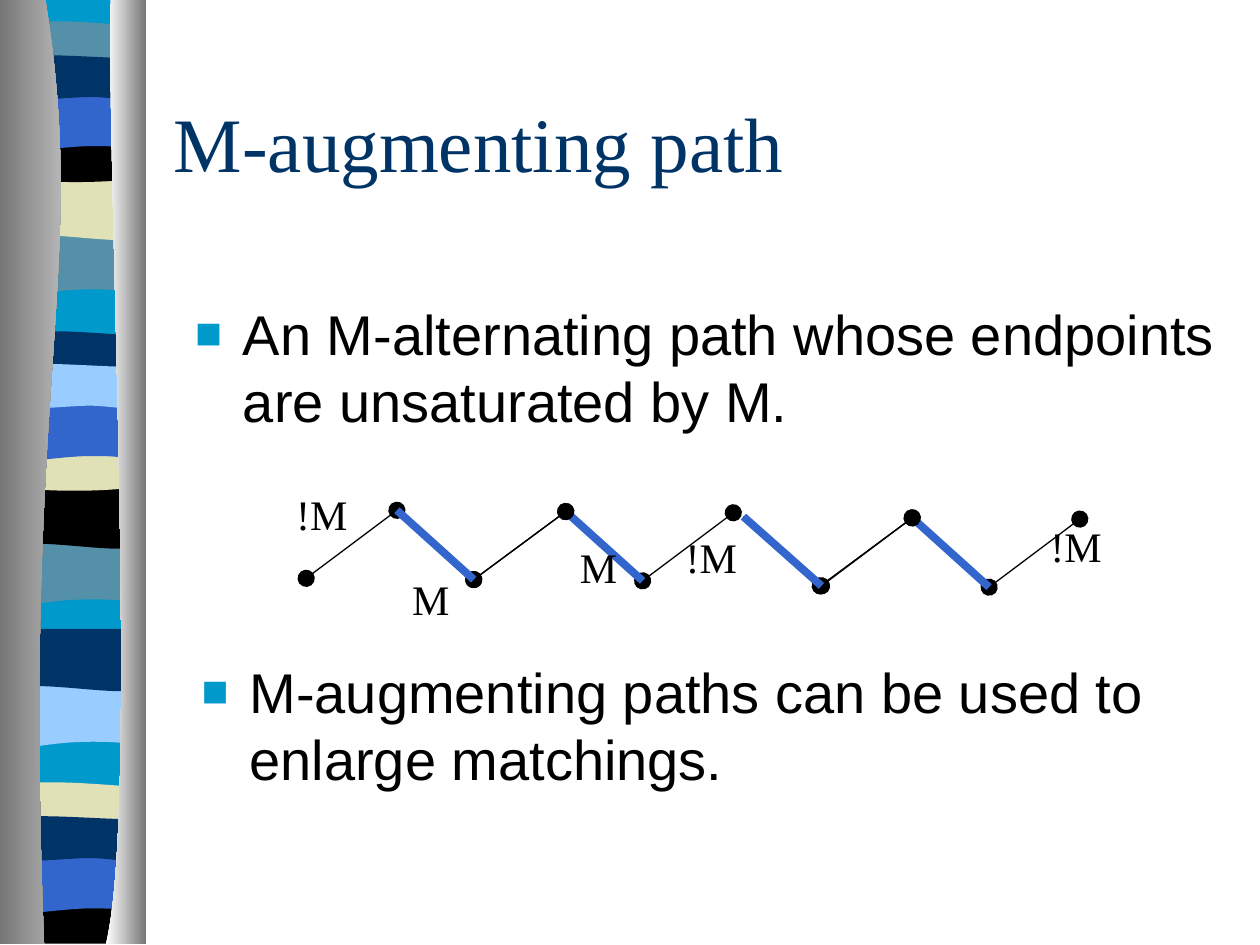
"""Build the slide on M-augmenting paths with its striped ribbon."""
from lxml.etree import SubElement as Sub
from pptx import Presentation as Deck
from pptx.dml.color import RGBColor as Rgb
from pptx.enum.shapes import MSO_CONNECTOR as Conn
from pptx.enum.text import MSO_ANCHOR as Anchor, MSO_AUTO_SIZE as Fit, PP_ALIGN as Align
from pptx.oxml.ns import qn
from pptx.util import Pt

PX = 9144
HUES = {"cyan": "0099CC", "teal": "5490A8", "sand": "E1E1B7", "black": "000000",
        "blue": "3366CC", "navy": "003366", "sky": "99CCFF",
        "gray": "767676", "pale": "D3D3D3", "white": "FFFFFF"}
TINT = {name: Rgb.from_string(code) for name, code in HUES.items()}


def write(frame, text, size=32, face="Arial", hue="black", align=Align.LEFT,
          anchor=Anchor.TOP, wrap=True, bullet=False):
    frame.word_wrap, frame.auto_size = wrap, Fit.NONE
    frame.vertical_anchor = anchor
    frame.margin_left = frame.margin_right = 10 * PX
    frame.margin_top = frame.margin_bottom = 5 * PX
    para = frame.paragraphs[0]
    para.alignment = align
    para.space_before = Pt(0)
    if bullet:
        prop = para._p.get_or_add_pPr()
        prop.set("marL", str(38 * PX))
        prop.set("indent", str(-38 * PX))
        Sub(Sub(prop, qn("a:buClr")), qn("a:srgbClr"), val=HUES["cyan"])
        Sub(prop, qn("a:buSzPct"), val="80000")
        Sub(prop, qn("a:buFont"), typeface="Arial")
        Sub(prop, qn("a:buChar"), char="■")
    run = para.add_run()
    run.text = text
    run.font.size, run.font.name = Pt(size), face
    run.font.color.rgb = TINT[hue]


def outline(steps, left=0, top=0):
    dots = [((step[i] + left) * PX, (step[i + 1] + top) * PX)
            for step in steps for i in range(0, len(step), 2)]
    pen = ribbon.shapes.build_freeform(*dots[0], scale=1.0)
    pen.add_line_segments(dots[1:], close=True)
    shape = pen.convert_to_shape()
    lines = iter(list(shape._element.iter(qn("a:lnTo"))))
    for step in steps[1:]:
        line = next(lines)
        if len(step) == 6:
            line.addprevious(curve := line.makeelement(qn("a:cubicBezTo")))
            for part in (line, next(lines), next(lines)):
                curve.append(part[0])
                part.getparent().remove(part)
    shape.shadow.inherit = False
    shape.line.fill.background()
    return shape


deck = Deck()
deck.slide_width, deck.slide_height = 1000 * PX, 750 * PX
slide = deck.slides.add_slide(deck.slide_layouts[1])
ribbon = slide.shapes.add_group_shape()

BANDS = {
    "base": [(108, 0), (108, 747), (0, 747), (0, 0)],
    "wave": [(108, 0), (108, 47), (33, 39, 18, 55, 0, 47), (0, 0)],
    "swell": [(108, 0), (108, 47), (90, 55, 33, 41, 0, 47), (0, 0)],
    "thin": [(108, 5), (108, 29), (90, 33, 18, 33, 0, 29), (0, 5),
             (6, 0, 23, 1, 41, 1), (59, 1, 94, 4, 108, 5)],
    "dip": [(108, 0), (108, 32), (90, 38, 18, 38, 0, 32), (0, 0),
            (66, 5, 85, 0, 108, 0)],
    "arch": [(108, 0), (108, 47), (91, 42, 84, 42, 66, 42),
             (48, 42, 16, 47, 0, 47), (0, 0)],
    "roll": [(108, 5), (108, 36), (101, 41, 84, 36, 66, 36),
             (48, 36, 11, 41, 0, 36), (0, 5), (15, 0, 73, 5, 91, 5),
             (109, 5, 104, 5, 108, 5)],
    "floor": [(108, 0), (108, 37), (0, 37), (0, 0), (66, 5, 85, 0, 108, 0)],
}
STRIPES = [
    ("base", "cyan", 6, 0), ("wave", "teal", 6, 185), ("swell", "sand", 6, 141),
    ("thin", "teal", 6, 16), ("dip", "black", 6, 108), ("arch", "blue", 6, 74),
    ("roll", "navy", 6, 41), ("wave", "teal", 5, 431), ("swell", "black", 5, 386),
    ("thin", "navy", 5, 262), ("dip", "sand", 5, 353), ("arch", "blue", 5, 320),
    ("roll", "sky", 5, 286), ("wave", "sky", 6, 544), ("swell", "navy", 6, 499),
    ("thin", "sand", 5, 620), ("floor", "black", 5, 712), ("arch", "blue", 5, 679),
    ("roll", "navy", 5, 645),
]
for band, hue, left, top in STRIPES:
    stripe = outline(BANDS[band], left, top)
    stripe.fill.solid()
    stripe.fill.fore_color.rgb = TINT[hue]

EDGES = [
    ([(36, 0), (71, 216, 17, 296, 35, 749), (0, 749), (0, 0)], ("gray", "pale")),
    ([(88, 0), (84, 125, 111, 646, 84, 749), (116, 749), (116, 0)], ("white", "gray")),
]
for steps, hues in EDGES:
    fill = outline(steps).fill
    fill.gradient()
    fill.gradient_angle = 0
    for stop, hue in zip(fill.gradient_stops, hues):
        stop.color.rgb = TINT[hue]

for count, prop in enumerate(ribbon._element.iter(qn("p:cNvPr")), 100):
    prop.set("id", str(count))
deck.slide_master.shapes._spTree.insert(2, ribbon._element)

title, body = slide.placeholders
note = slide.shapes.add_textbox(0, 0, PX, PX)
for shape, left, top, wide, high in [(title, 128, 50, 850, 125),
                                     (body, 150, 517, 850, 192),
                                     (note, 145, 233, 850, 192)]:
    shape.left, shape.top = left * PX, top * PX
    shape.width, shape.height = wide * PX, high * PX
write(title.text_frame, "M-augmenting path", size=44, face="Times New Roman",
      hue="navy", anchor=Anchor.MIDDLE)
write(note.text_frame, "An M-alternating path whose endpoints are unsaturated by M.",
      bullet=True)
write(body.text_frame, "M-augmenting paths can be used to enlarge matchings.",
      bullet=True)

CHAINS = [
    [(376, 460), (449, 406), (510, 461), (582, 407)],
    [(243, 459), (315, 405), (376, 460), (449, 406)],
    [(651, 465), (724, 411), (785, 466), (857, 412)],
    [(590, 410), (652, 465), (724, 411)],
]
for chain in CHAINS:
    pairs = list(zip(chain, chain[1:]))
    falls = [(a, b) for a, b in pairs if b[1] > a[1]]
    for i, (start, stop) in enumerate(pairs + falls):
        match = i >= len(pairs)
        edge = slide.shapes.add_connector(Conn.STRAIGHT, *[n * PX for n in start + stop])
        edge.line.color.rgb = TINT["blue" if match else "black"]
        edge.line.width = Pt(4.5 if match else 0.75)
        ends = [] if match else ["a:tailEnd"]
        if i == 0 and pairs[0] not in falls:
            ends.insert(0, "a:headEnd")
        for end in ends:
            Sub(edge.line._get_or_add_ln(), qn(end), type="oval", w="lg", len="lg")
        Sub(edge._element.spPr, qn("a:effectLst"))

LABELS = [("M", 317, 450, 50), ("!M", 800, 408, 108), ("!M", 534, 417, 61),
          ("!M", 225, 383, 61), ("M", 450, 425, 50)]
for text, left, top, wide in LABELS:
    label = slide.shapes.add_textbox(left * PX, top * PX, wide * PX, 50 * PX)
    write(label.text_frame, text, size=24, face="Times New Roman",
          align=Align.CENTER, wrap=False)

deck.save("out.pptx")
